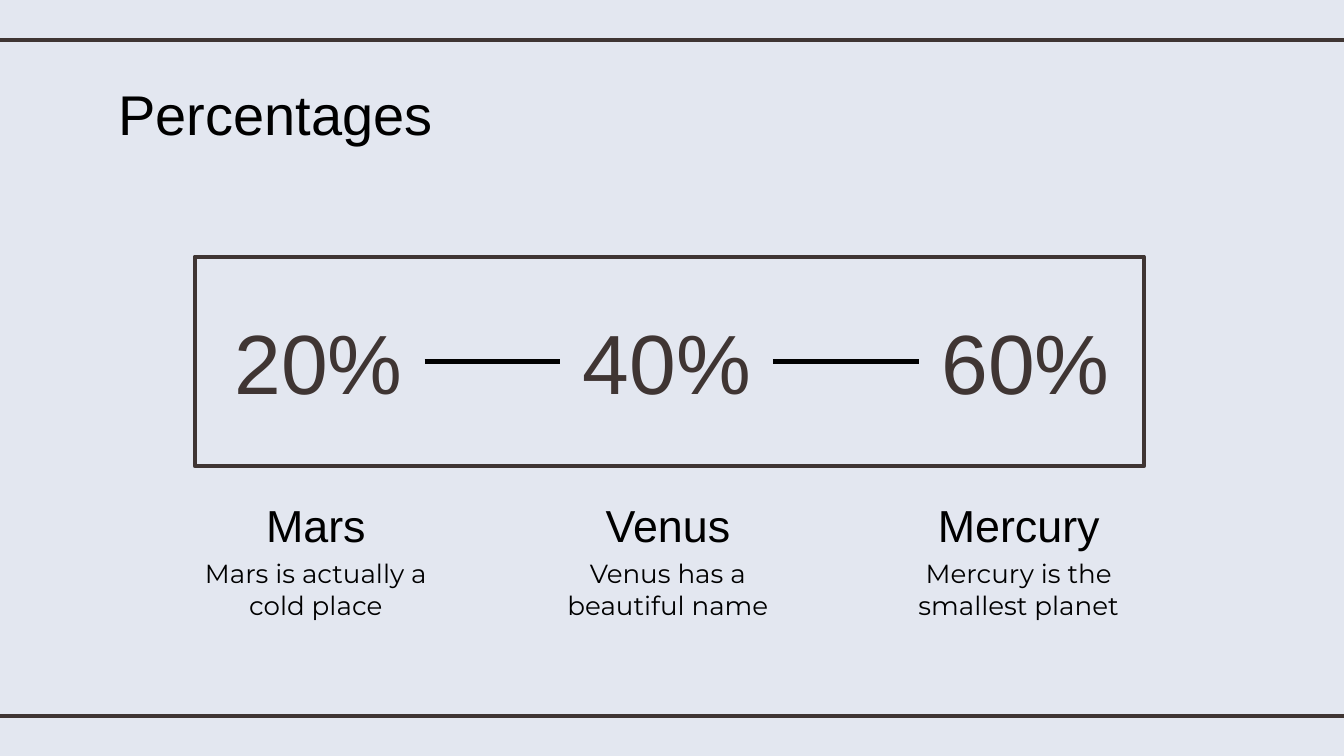
from dataclasses import dataclass

from pptx import Presentation
from pptx.dml.color import RGBColor as RGB
from pptx.enum.shapes import MSO_CONNECTOR as Conn, MSO_SHAPE as Shape
from pptx.enum.text import MSO_ANCHOR as Anchor, MSO_AUTO_SIZE as Fit, PP_ALIGN as Align
from pptx.oxml.ns import qn
from pptx.util import Inches, Pt


@dataclass(frozen=True)
class Theme:
    back: RGB = RGB.from_string("E3E7F0")
    dark: RGB = RGB.from_string("3F3533")
    ink: RGB = RGB.from_string("000000")
    head: str = "Arial"
    body: str = "Montserrat"
    title: int = 30
    name: int = 24
    note: int = 14
    value: int = 45
    rule: float = 2.25


THEME = Theme()

# Planet, note, share, centre of the words, left of the share
PLANETS = [
    ("Mars", "Mars is actually a cold place", "20%", 2.35, 1.58),
    ("Venus", "Venus has a beautiful name", "40%", 4.97, 4.17),
    ("Mercury", "Mercury is the smallest planet", "60%", 7.58, 6.84),
]
VALUE_WIDTH = 1.58


def apply(item, form):
    for key, val in form.items():
        setattr(item, key, val)


def write(box, text, size, font=THEME.head, color=THEME.ink,
          align=Align.CENTER, anchor=Anchor.TOP):
    frame = box.text_frame
    pad = Inches(0.1)
    apply(frame, {
        "word_wrap": True, "auto_size": Fit.NONE, "vertical_anchor": anchor,
        "margin_left": pad, "margin_right": pad,
        "margin_top": pad, "margin_bottom": pad,
    })
    para = frame.paragraphs[0]
    para.alignment = align
    run = para.add_run()
    run.text = text
    apply(run.font, {"size": Pt(size), "name": font})
    run.font.color.rgb = color


def add_text(slide, area, text, size, **form):
    box = slide.shapes.add_textbox(*map(Inches, area))
    write(box, text, size, **form)


def add_title(slide, text):
    title = slide.shapes.title
    apply(title, {"left": Inches(0.78), "top": Inches(0.49),
                  "width": Inches(3.49), "height": Inches(0.63)})
    write(title, text, THEME.title, align=Align.LEFT)


def add_rule(slide, left, right, y, color):
    rule = slide.shapes.add_connector(
        Conn.STRAIGHT, Inches(left), Inches(y), Inches(right), Inches(y))
    rule.line.color.rgb = color
    rule.line.width = Pt(THEME.rule)
    props = rule._element.spPr
    props.append(props.makeelement(qn("a:effectLst"), {}))


def add_frame(slide):
    frame = slide.shapes.add_shape(
        Shape.RECTANGLE, *map(Inches, (1.45, 1.91, 7.06, 1.56)))
    frame.shadow.inherit = False
    frame.fill.background()
    frame.line.color.rgb = THEME.dark
    frame.line.width = Pt(THEME.rule)


def add_planet(slide, name, note, share, mid, left):
    add_text(slide, (mid - 0.9, 3.6, 1.8, 0.48), name, THEME.name)
    add_text(slide, (mid - 1.01, 4.05, 2.02, 0.63), note, THEME.note,
             font=THEME.body)
    add_text(slide, (left, 2.22, VALUE_WIDTH, 0.93), share, THEME.value,
             color=THEME.dark, anchor=Anchor.MIDDLE)


def main():
    # Wide page, 16 to 9
    deck = Presentation()
    deck.slide_width = Inches(10)
    deck.slide_height = Inches(10 * 9 / 16)
    slide = deck.slides.add_slide(deck.slide_layouts[5])
    fill = slide.background.fill
    fill.solid()
    fill.fore_color.rgb = THEME.back

    # Page rules and title
    for y in (0.3, 5.33):
        add_rule(slide, -0.08, 10.08, y, THEME.dark)
    add_title(slide, "Percentages")

    # Framed shares with their planets
    add_frame(slide)
    for planet in PLANETS:
        add_planet(slide, *planet)

    # Links between neighbouring shares
    lefts = [planet[-1] for planet in PLANETS]
    for start, end in zip(lefts, lefts[1:]):
        add_rule(slide, start + VALUE_WIDTH, end, 2.69, THEME.ink)

    deck.save("out.pptx")


if __name__ == "__main__":
    main()
